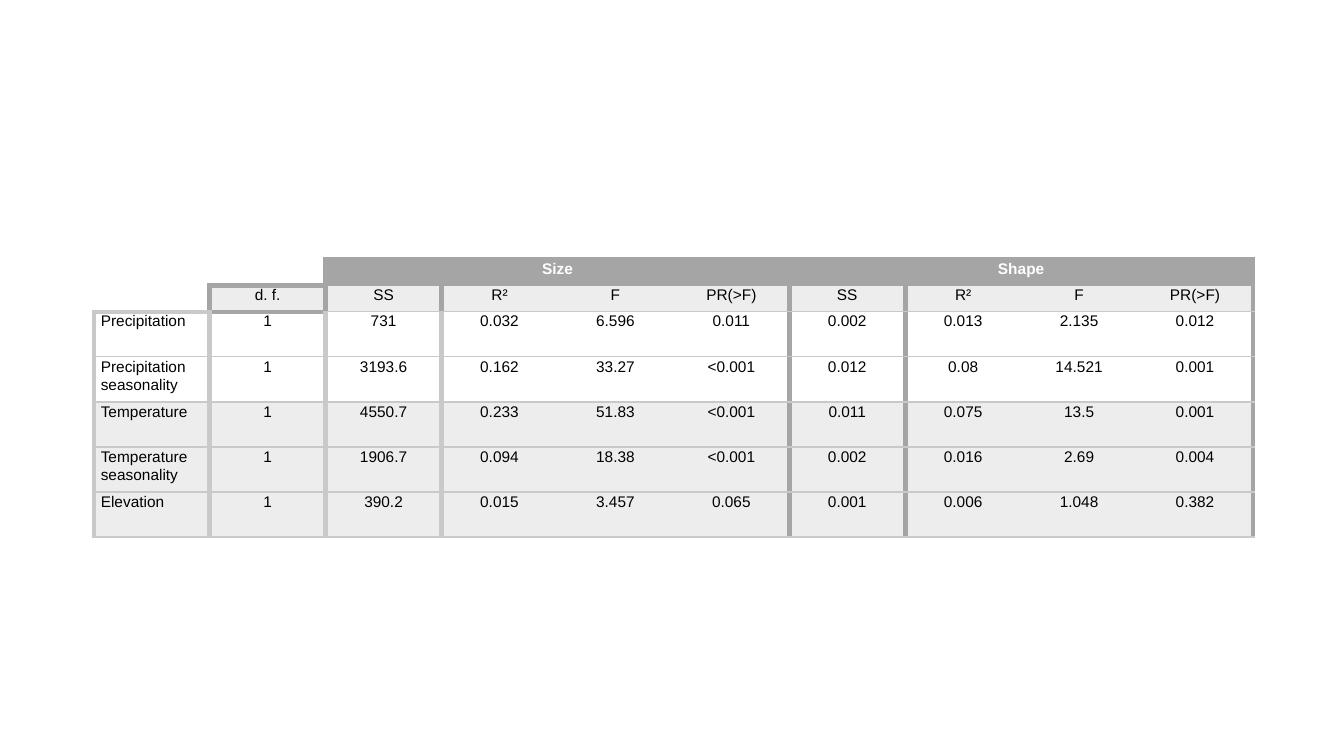
from lxml.etree import SubElement
from pptx import Presentation
from pptx.dml.color import RGBColor
from pptx.enum.text import PP_ALIGN as Align
from pptx.oxml.ns import qn
from pptx.util import Pt

WHITE = RGBColor(0xFF, 0xFF, 0xFF)
BLACK = RGBColor(0, 0, 0)
GREY = RGBColor(0xA5, 0xA5, 0xA5)
SILVER = RGBColor(0xC9, 0xC9, 0xC9)
PALE = RGBColor(0xED, 0xED, 0xED)

THICK, THIN = 3.75, 1
NO_GRID_STYLE = "{2D5ABB26-0587-4C30-8999-92F81FD0307C}"
HEADER_HEIGHT, HEADER_ROWS = 18.9, 2
GROUPS = {2: "Size", 6: "Shape"}
GROUP_SPAN = 4
MEASURES = ["SS", "R²", "F", "PR(>F)"]
ROWS = [
    ["", ""] + ["Size", "", "", ""] + ["Shape", "", "", ""],
    ["", "d. f."] + MEASURES * len(GROUPS),
    ["Precipitation", "1", "731", "0.032", "6.596", "0.011",
     "0.002", "0.013", "2.135", "0.012"],
    ["Precipitation seasonality", "1", "3193.6", "0.162", "33.27", "<0.001",
     "0.012", "0.08", "14.521", "0.001"],
    ["Temperature", "1", "4550.7", "0.233", "51.83", "<0.001",
     "0.011", "0.075", "13.5", "0.001"],
    ["Temperature seasonality", "1", "1906.7", "0.094", "18.38", "<0.001",
     "0.002", "0.016", "2.69", "0.004"],
    ["Elevation", "1", "390.2", "0.015", "3.457", "0.065",
     "0.001", "0.006", "1.048", "0.382"],
]


def vertical_edge(row, edge):
    if edge in (6, 10):
        return GREY, THICK
    if edge <= 2 and row >= 2 - edge:
        return (GREY if row < HEADER_ROWS else SILVER), THICK
    return None


def horizontal_edge(edge, col):
    first = max(0, 2 - col)
    if edge < first or (edge, col) == (2, 1):
        return None
    if edge == first:
        return (SILVER if col == 0 else GREY), THICK
    return (GREY if edge == 1 else SILVER), THIN


def cell_fill(row, col):
    if row == 0:
        return GREY if col >= 2 else None
    if row == 1:
        return PALE if col >= 1 else None
    return PALE if row >= 4 else None


def set_borders(cell, row, col):
    right = col + (cell.span_width if cell.is_merge_origin else 1)
    edges = {
        "a:lnL": vertical_edge(row, col),
        "a:lnR": vertical_edge(row, right),
        "a:lnT": horizontal_edge(row, col),
        "a:lnB": horizontal_edge(row + 1, col),
    }
    tcPr = cell._tc.get_or_add_tcPr()
    for tag, edge in edges.items():
        if edge:
            color, width = edge
            ln = SubElement(tcPr, qn(tag), w=str(Pt(width)))
            fill = SubElement(ln, qn("a:solidFill"))
            SubElement(fill, qn("a:srgbClr"), val=str(color))


def format_cell(cell, row, col):
    cell.margin_left = cell.margin_right = Pt(5)
    cell.margin_top = cell.margin_bottom = 0
    set_borders(cell, row, col)
    color = cell_fill(row, col)
    if color is None:
        cell.fill.background()
    else:
        cell.fill.solid()
        cell.fill.fore_color.rgb = color

    cell.text_frame.text = ROWS[row][col]
    p = cell.text_frame.paragraphs[0]
    p.alignment = Align.LEFT if col == 0 else Align.CENTER
    p.line_spacing = 1.07
    p.space_after = Pt(12)
    for r in p.runs:
        r.font.name = "Arial"
        r.font.size = Pt(11)
        r.font.bold = row == 0
        r.font.color.rgb = WHITE if row == 0 else BLACK
    if not p.runs:
        SubElement(p._p, qn("a:endParaRPr"), sz="1100")


def add_results_table(s, left, top, width, height):
    cols = len(ROWS[0])
    table = s.shapes.add_table(
        len(ROWS), cols, Pt(left), Pt(top), Pt(width), Pt(height)).table
    table.first_row = table.horz_banding = False
    table._tbl.tblPr.find(qn("a:tableStyleId")).text = NO_GRID_STYLE
    for column in table.columns:
        column.width = Pt(width / cols)
    data_height = ((height - HEADER_ROWS * HEADER_HEIGHT)
                   / (len(ROWS) - HEADER_ROWS))
    for i, row in enumerate(table.rows):
        row.height = Pt(HEADER_HEIGHT if i < HEADER_ROWS else data_height)
    for col in GROUPS:
        table.cell(0, col).merge(table.cell(0, col + GROUP_SPAN - 1))
    for row in range(len(ROWS)):
        for col in range(cols):
            format_cell(table.cell(row, col), row, col)


def main():
    prs = Presentation()
    prs.slide_width, prs.slide_height = Pt(960), Pt(540)
    s = prs.slides.add_slide(prs.slide_layouts[6])
    add_results_table(s, left=67, top=185, width=828, height=198.8)
    prs.save("out.pptx")


if __name__ == "__main__":
    main()
